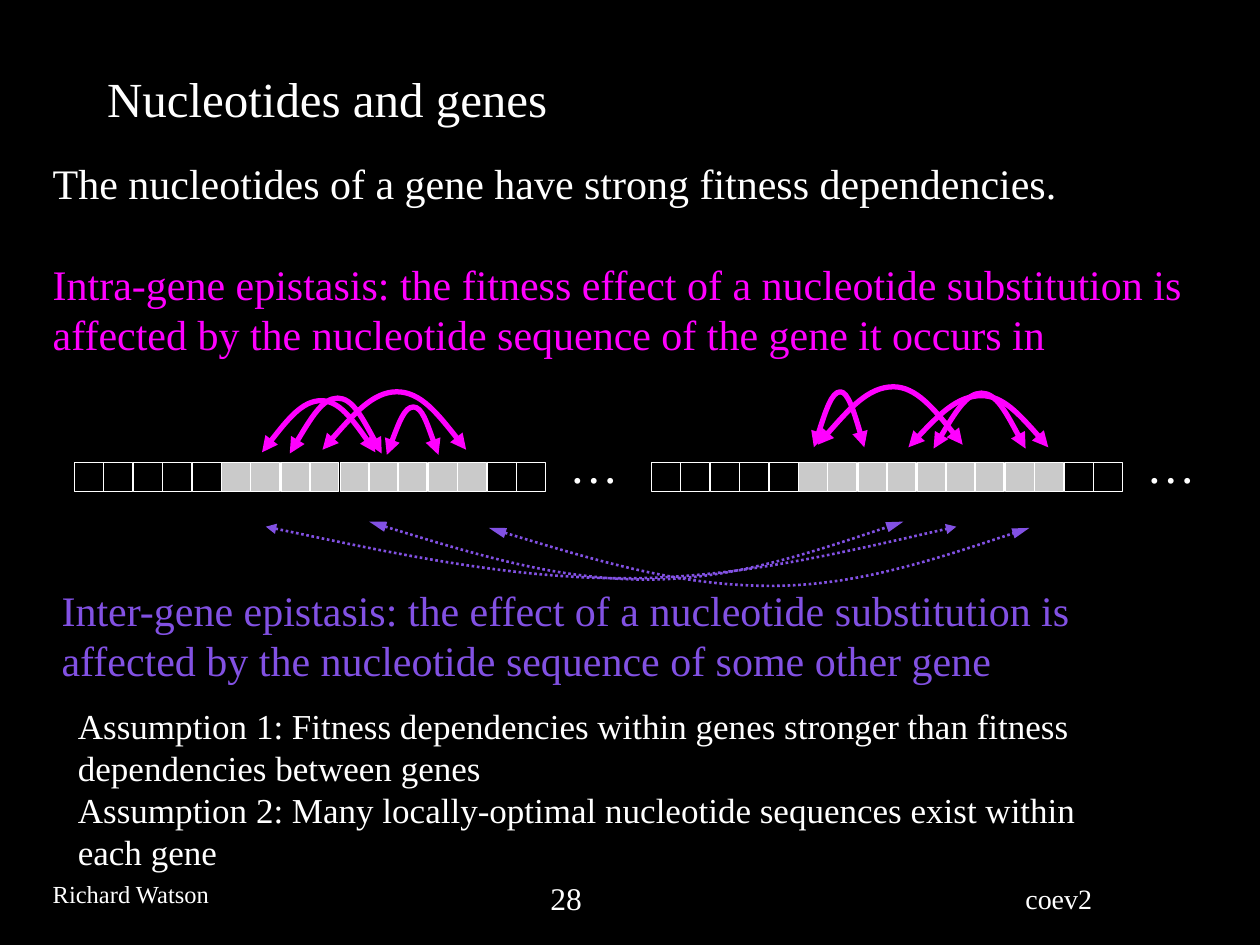
from lxml import etree
from pptx import Presentation
from pptx.dml.color import RGBColor
from pptx.enum.dml import MSO_LINE
from pptx.enum.shapes import MSO_SHAPE
from pptx.enum.text import MSO_ANCHOR, PP_ALIGN
from pptx.oxml.ns import qn
from pptx.util import Pt

PX = 9144  # 100 px to the inch
FONT = "Times New Roman"
BLACK = RGBColor(0x00, 0x00, 0x00)
WHITE = RGBColor(0xFF, 0xFF, 0xFF)
GRAY = RGBColor(0xCA, 0xCA, 0xCA)
PINK = RGBColor(0xFF, 0x00, 0xFF)
VIOLET = RGBColor(0x82, 0x51, 0xE3)
RECT = MSO_SHAPE.RECTANGLE
DOTS = MSO_LINE.ROUND_DOT
LEFT = PP_ALIGN.LEFT
MIDDLE = MSO_ANCHOR.MIDDLE

CELLS, STEP, SIDE = 16, 23.4, 23
GENE = range(5, 14)
# Bezier points of an arc, as shares of its width and height
BEND = [(0.175, 0.5), (0.35, 1), (0.52, 1), (0.68, 1), (0.84, 0.5), (1, 0)]

# Arcs: left, level of the ends, width, rise
INTRA = [
    (208, 359, 90, 41), (256, 357, 114, 46), (230, 360, 73, 44),
    (307, 361, 41, 38), (721, 355, 111, 41), (649, 353, 115, 46),
    (741, 356, 73, 44), (646, 355, 40, 44),
]
# The same, with the length of the arrowheads
INTER = [
    (211, 418, 548, -41, "med"), (388, 419, 429, -46, "lg"),
    (293, 414, 424, -46, "lg"),
]


def emu(*vals):
    return [round(v) * PX for v in vals]


def write(frame, paras, size, gap=0):
    """Fill a text frame with (text, colour) paragraphs."""
    frame.word_wrap = True
    for i, (text, color) in enumerate(paras):
        para = frame.paragraphs[0] if i == 0 else frame.add_paragraph()
        para.alignment = LEFT
        para.space_before = Pt(gap if i else 0)
        run = para.add_run()
        run.text = text
        look = {"name": FONT, "size": Pt(size)}
        for key, val in look.items():
            setattr(run.font, key, val)
        run.font.color.rgb = color


def add_text(shapes, box, paras, size, gap=0):
    write(shapes.add_textbox(*emu(*box)).text_frame, paras, size, gap)


def add_title(slide, box, text):
    title = slide.shapes.title
    place = dict(zip(("left", "top", "width", "height"), emu(*box)))
    for key, val in place.items():
        setattr(title, key, val)
    title.text_frame.vertical_anchor = MIDDLE
    write(title.text_frame, [(text, WHITE)], 28)


def add_strip(shapes, left, top):
    """Row of nucleotides with a shaded gene, then an ellipsis."""
    group = shapes.add_group_shape().shapes
    for i in range(CELLS):
        cell = group.add_shape(RECT, *emu(left + i * STEP, top, SIDE, SIDE))
        cell.shadow.inherit = False
        if i in GENE:
            cell.fill.solid()
            cell.fill.fore_color.rgb = GRAY
        else:
            cell.fill.background()
        cell.line.color.rgb = WHITE
        cell.line.width = Pt(0.75)
    add_text(group, (left + 383, top - 27, 59, 57), [("…", WHITE)], 28)


def curve(shape):
    """Turn each three straight segments into one Bezier segment."""
    lines = list(shape._element.iter(qn("a:lnTo")))
    for i in range(0, len(lines), 3):
        bez = etree.Element(qn("a:cubicBezTo"))
        lines[i].addprevious(bez)
        for line in lines[i:i + 3]:
            bez.append(line[0])
            line.getparent().remove(line)


def add_arc(shapes, left, base, width, rise, color, weight, size="med"):
    """Double-headed arc; a negative rise makes it sag."""
    pen = shapes.build_freeform(left, base, scale=PX)
    pen.add_line_segments(
        [(round(left + x * width), round(base - y * rise)) for x, y in BEND],
        close=False)
    arc = pen.convert_to_shape()
    curve(arc)
    arc.shadow.inherit = False
    arc.fill.background()
    arc.line.color.rgb = color
    arc.line.width = Pt(weight)
    if rise < 0:
        arc.line.dash_style = DOTS
    for end in ("a:headEnd", "a:tailEnd"):
        etree.SubElement(arc.line._get_or_add_ln(), qn(end),
                         type="triangle", w="med", len=size)


def add_intra(shapes):
    group = shapes.add_group_shape().shapes
    for arc in INTRA:
        add_arc(group, *arc, PINK, 3)


def add_inter(shapes):
    group = shapes.add_group_shape().shapes
    for *arc, size in INTER:
        add_arc(group, *arc, VIOLET, 1.5, size)
    add_text(group, (39, 459, 929, 90), [
        ("Inter-gene epistasis: the effect of a nucleotide substitution is "
         "affected by the nucleotide sequence of some other gene", VIOLET),
    ], 24)


def add_footer(shapes, top):
    add_text(shapes, (804, top + 2, 250 - 54, 36), [("coev2", WHITE)], 16)
    add_text(shapes, (32, top, 160, 34), [("Richard Watson", WHITE)], 14)
    add_text(shapes, (427, top, 124, 40), [("28", WHITE)], 18)


def main():
    deck = Presentation()
    deck.slide_width, deck.slide_height = emu(1000, 750)
    slide = deck.slides.add_slide(deck.slide_layouts[5])
    slide.background.fill.solid()
    slide.background.fill.fore_color.rgb = BLACK
    shapes = slide.shapes

    add_footer(shapes, 693)
    add_title(slide, (75, 41, 850, 73), "Nucleotides and genes")
    for left in (59, 517):
        add_strip(shapes, left, 367)
    add_intra(shapes)
    add_text(shapes, (32, 120, 929, 170), [
        ("The nucleotides of a gene have strong fitness dependencies.", WHITE),
        ("Intra-gene epistasis: the fitness effect of a nucleotide "
         "substitution is affected by the nucleotide sequence of the gene "
         "it occurs in", PINK),
    ], 24, gap=28.8)
    add_inter(shapes)
    add_text(shapes, (52, 554, 854, 177), [
        ("Assumption 1: Fitness dependencies within genes stronger than "
         "fitness dependencies between genes", WHITE),
        ("Assumption 2: Many locally-optimal nucleotide sequences exist "
         "within each gene", WHITE),
    ], 20)
    deck.save("out.pptx")


if __name__ == "__main__":
    main()
